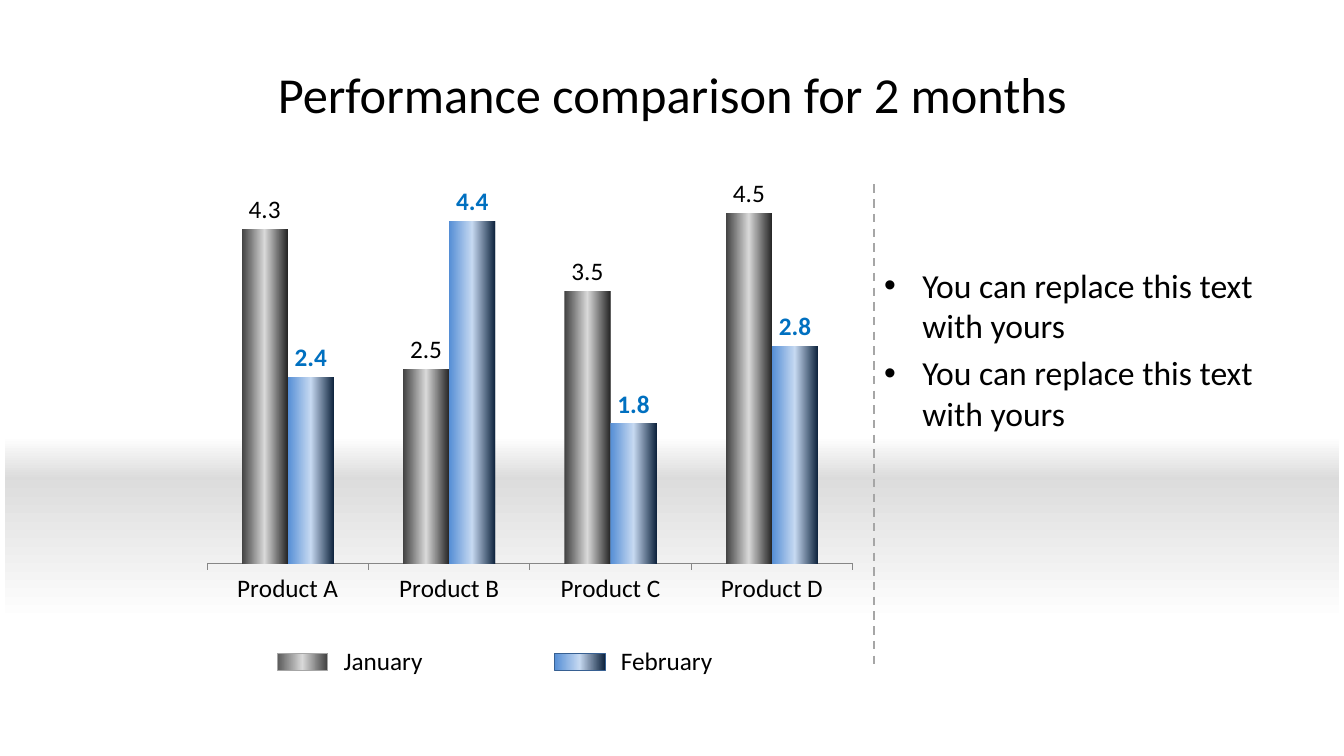
from copy import deepcopy
from dataclasses import dataclass

from lxml.etree import SubElement
from pptx import Presentation
from pptx.chart.data import CategoryChartData
from pptx.dml.color import RGBColor
from pptx.enum.chart import XL_CHART_TYPE, XL_LABEL_POSITION, XL_TICK_MARK
from pptx.enum.dml import MSO_LINE
from pptx.enum.shapes import MSO_CONNECTOR, MSO_SHAPE
from pptx.enum.text import MSO_ANCHOR, PP_ALIGN
from pptx.oxml.ns import qn
from pptx.util import Inches, Pt


@dataclass(frozen=True)
class Theme:
    font: str = "Calibri"
    title: int = 36
    body: int = 24
    label: int = 18
    ink: str = "000000"
    accent: str = "0070C0"
    rule: str = "A6A6A6"
    axis: str = "868686"
    glow: tuple = ("FFFFFF", "DBDBDB")
    fade: tuple = ("DDDDDD", "FFFFFF")
    steel: tuple = ("404040", "D9D9D9", "262626")
    pale: tuple = ("595959", "D9D9D9", "404040")
    blue: tuple = ("558ED5", "C6D9F1", "0F243E")
    edge: str = "376092"


THEME = Theme()
MONTHS = {"January": (4.3, 2.5, 3.5, 4.5), "February": (2.4, 4.4, 1.8, 2.8)}
ITEMS = ["Product A", "Product B", "Product C", "Product D"]
POINTS = ["You can replace this text with yours"] * 2


def rgb(code):
    return RGBColor.from_string(code)


def style(font, size, color=THEME.ink, bold=False):
    font.name, font.size, font.bold = THEME.font, Pt(size), bold
    font.color.rgb = rgb(color)


def blend(fill, props, colors, angle=0):
    """Fill with evenly spaced gradient colours; props is the spPr element."""
    fill.gradient()
    fill.gradient_angle = angle
    stops = props.find(".//" + qn("a:gsLst"))
    for _ in colors[2:]:
        stops.append(deepcopy(stops[-1]))
    for i, (stop, color) in enumerate(zip(fill.gradient_stops, colors)):
        stop.color.rgb = rgb(color)
        stop.position = i / (len(colors) - 1)


def add_rect(slide, x, y, w, h, colors, angle=0):
    rect = slide.shapes.add_shape(
        MSO_SHAPE.RECTANGLE, Inches(x), Inches(y), Inches(w), Inches(h))
    rect.shadow.inherit = False
    rect.line.fill.background()
    blend(rect.fill, rect._element.spPr, colors, angle)
    return rect


def add_floor(slide, x, y, w, h):
    """Grey band that rises quickly and fades out slowly."""
    rise = 0.43
    add_rect(slide, x, y + rise, w, h - rise, THEME.fade, 270)
    add_rect(slide, x, y, w, rise, THEME.glow, 270)


def add_title(slide, x, y, w, h):
    title = slide.shapes.title
    title.left, title.top = Inches(x), Inches(y)
    title.width, title.height = Inches(w), Inches(h)
    frame = title.text_frame
    frame.text = "Performance comparison for 2 months"
    frame.vertical_anchor = MSO_ANCHOR.MIDDLE
    frame.paragraphs[0].alignment = PP_ALIGN.CENTER
    style(frame.paragraphs[0].font, THEME.title)


def set_plot(chart, **sides):
    """Fix the inner plot area as fractions of the chart."""
    area = chart._chartSpace.chart.plotArea
    for old in area.findall(qn("c:layout")):
        area.remove(old)
    layout = SubElement(area, qn("c:layout"))
    area.insert(0, layout)
    manual = SubElement(layout, qn("c:manualLayout"))
    parts = {"layoutTarget": "inner", "xMode": "edge", "yMode": "edge", **sides}
    for tag, value in parts.items():
        SubElement(manual, qn("c:" + tag)).set("val", str(value))


def add_bars(slide, x, y, w, h):
    data = CategoryChartData()
    data.categories = ITEMS
    for month, values in MONTHS.items():
        data.add_series(month, values)
    chart = slide.shapes.add_chart(
        XL_CHART_TYPE.COLUMN_CLUSTERED,
        Inches(x), Inches(y), Inches(w), Inches(h), data).chart
    chart.has_legend = chart.has_title = False
    style(chart.font, THEME.label)
    set_plot(chart, x=0.02, y=0.02, w=0.96, h=0.87)

    scale = chart.value_axis
    scale.minimum_scale, scale.maximum_scale = 0, 5
    scale.has_major_gridlines = scale.visible = False
    base = chart.category_axis
    base.major_tick_mark = XL_TICK_MARK.OUTSIDE
    base.format.line.color.rgb = rgb(THEME.axis)
    base.format.line.width = Pt(0.75)

    plot = chart.plots[0]
    plot.gap_width, plot.overlap = 150, 0
    plot.vary_by_categories = False
    looks = [(THEME.steel, THEME.ink, False), (THEME.blue, THEME.accent, True)]
    for series, (colors, ink, bold) in zip(plot.series, looks):
        blend(series.format.fill, series._element.get_or_add_spPr(), colors)
        labels = series.data_labels
        labels.show_value = True
        labels.position = XL_LABEL_POSITION.OUTSIDE_END
        style(labels.font, THEME.label, ink, bold)


def add_legend(slide, x, y, step):
    looks = [(THEME.pale, THEME.rule, 0.75), (THEME.blue, THEME.edge, 0.5)]
    for i, (month, (colors, edge, width)) in enumerate(zip(MONTHS, looks)):
        left = x + i * step
        key = add_rect(slide, left, y + 0.13, 0.5, 0.17, colors)
        key.line.color.rgb = rgb(edge)
        key.line.width = Pt(width)
        frame = slide.shapes.add_textbox(
            Inches(left + 0.56), Inches(y), Inches(1.12), Inches(0.4)).text_frame
        frame.text = month
        style(frame.paragraphs[0].font, THEME.label)


def add_rule(slide, x, y, h):
    rule = slide.shapes.add_connector(
        MSO_CONNECTOR.STRAIGHT, Inches(x), Inches(y), Inches(x), Inches(y + h))
    rule.line.color.rgb = rgb(THEME.rule)
    rule.line.width = Pt(1.5)
    rule.line.dash_style = MSO_LINE.DASH
    SubElement(rule._element.spPr, qn("a:effectLst"))


def add_points(slide, x, y, w, h):
    frame = slide.shapes.add_textbox(
        Inches(x), Inches(y), Inches(w), Inches(h)).text_frame
    frame.word_wrap = True
    for i, point in enumerate(POINTS):
        para = frame.add_paragraph() if i else frame.paragraphs[0]
        para.text = point
        props = para._p.get_or_add_pPr()
        props.set("marL", str(Inches(0.38)))
        props.set("indent", str(-Inches(0.38)))
        SubElement(props, qn("a:buFont")).set("typeface", "Arial")
        SubElement(props, qn("a:buChar")).set("char", "•")
        para.space_before = Pt(4.8 if i else 0)
        style(para.font, THEME.body)


def main():
    deck = Presentation()
    deck.slide_width, deck.slide_height = Inches(13.33), Inches(7.5)
    slide = deck.slides.add_slide(deck.slide_layouts[5])
    add_floor(slide, 0.05, 4.33, 13.23, 1.84)
    add_title(slide, 0.67, 0.3, 12, 1.25)
    add_points(slide, 8.67, 2.58, 4.17, 4.12)
    add_bars(slide, 1.92, 1.64, 6.67, 4.44)
    add_legend(slide, 2.75, 6.35, 2.75)
    add_rule(slide, 8.67, 1.83, 4.81)
    deck.save("out.pptx")


if __name__ == "__main__":
    main()
